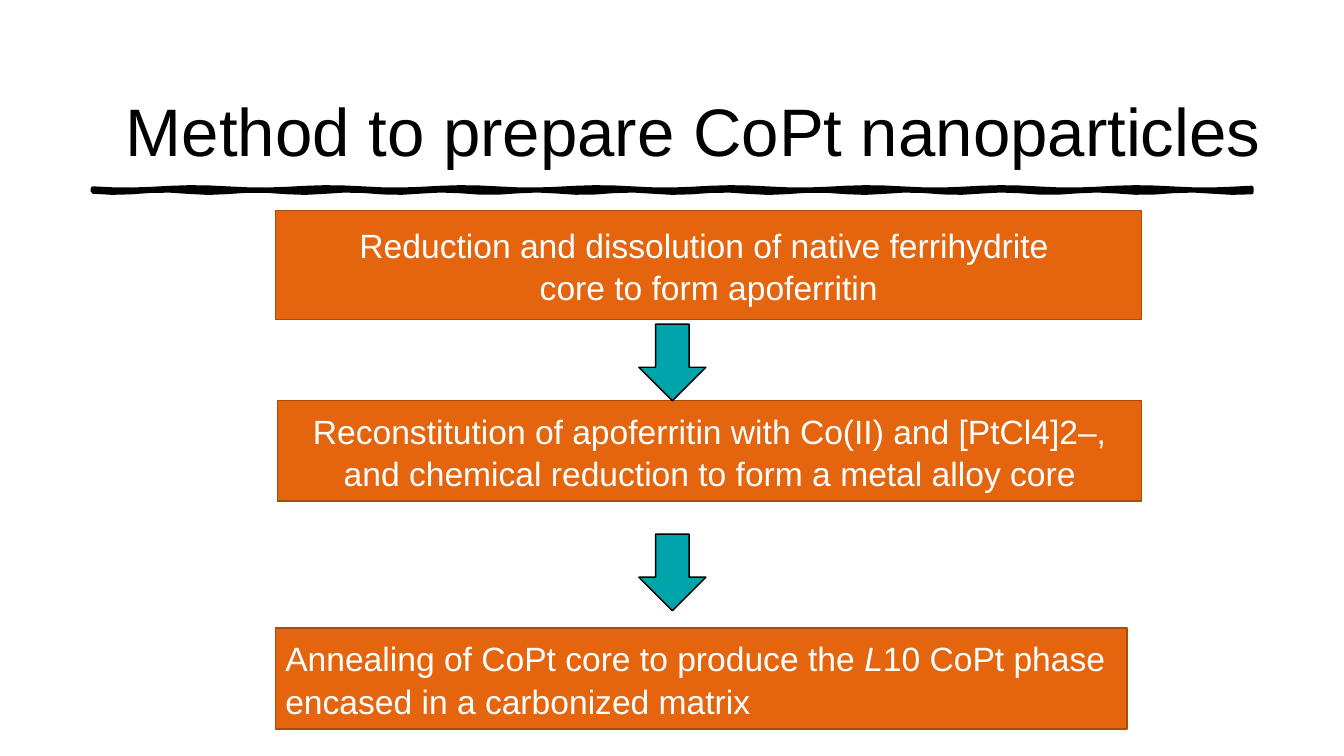
from dataclasses import dataclass
from math import sin

from pptx import Presentation
from pptx.dml.color import RGBColor
from pptx.enum.shapes import MSO_SHAPE
from pptx.enum.text import MSO_ANCHOR, MSO_AUTO_SIZE, PP_ALIGN
from pptx.util import Cm, Pt

RECTANGLE = MSO_SHAPE.RECTANGLE
DOWN_ARROW = MSO_SHAPE.DOWN_ARROW
MIDDLE = MSO_ANCHOR.MIDDLE
NO_AUTOFIT = MSO_AUTO_SIZE.NONE
LEFT, CENTER = PP_ALIGN.LEFT, PP_ALIGN.CENTER
TITLE_ONLY = 5


@dataclass(frozen=True)
class Theme:
    font: str = "Arial"
    ink: str = "000000"
    step_fill: str = "E4650E"
    step_line: str = "A94B0A"
    step_text: str = "FFFFFF"
    arrow_fill: str = "00A5AB"
    title_size: int = 48
    step_size: int = 24
    step_spacing: float = 1.05
    outline: int = 1
    brush: int = 3


def apply(target, values):
    for name, value in values.items():
        setattr(target, name, value)


class ProcessSlide:
    def __init__(self, deck, theme):
        self.theme = theme
        self.slide = deck.slides.add_slide(deck.slide_layouts[TITLE_ONLY])

    def paint(self, shape, fill, line, width):
        shape.shadow.inherit = False
        shape.fill.solid()
        shape.fill.fore_color.rgb = RGBColor.from_string(fill)
        shape.line.color.rgb = RGBColor.from_string(line)
        shape.line.width = Pt(width)

    def set_text(self, shape, paragraphs, size, color, align, spacing=1.0):
        """Fill a shape with paragraphs, each a list of (text, italic) runs."""
        frame = shape.text_frame
        apply(frame, {"word_wrap": True, "auto_size": NO_AUTOFIT,
                      "vertical_anchor": MIDDLE})
        for index, runs in enumerate(paragraphs):
            paragraph = frame.add_paragraph() if index else frame.paragraphs[0]
            apply(paragraph, {"alignment": align, "line_spacing": spacing})
            for text, italic in runs:
                run = paragraph.add_run()
                run.text = text
                apply(run.font, {"name": self.theme.font, "size": Pt(size),
                                 "italic": italic})
                run.font.color.rgb = RGBColor.from_string(color)

    def title(self, text, left, top, width, height):
        heading = self.slide.shapes.title
        apply(heading, {"left": Cm(left), "top": Cm(top),
                        "width": Cm(width), "height": Cm(height)})
        self.set_text(heading, [[(text, False)]], self.theme.title_size,
                      self.theme.ink, LEFT)

    def brush_rule(self, left, top, width, thickness, segments=60):
        """Draw a slightly wavering, hand-brushed rule."""
        steps = range(segments + 1)
        upper = [(left + width * i / segments, top + 0.03 * sin(i * 0.9))
                 for i in steps]
        lower = [(left + width * i / segments,
                  top + thickness + 0.03 * sin(i * 1.3)) for i in steps]
        outline = [(Cm(x), Cm(y)) for x, y in upper + lower[::-1]]
        builder = self.slide.shapes.build_freeform(*outline[0])
        builder.add_line_segments(outline[1:], close=True)
        self.paint(builder.convert_to_shape(), self.theme.ink, self.theme.ink,
                   self.theme.brush)

    def step(self, paragraphs, left, top, width, height, align):
        box = self.slide.shapes.add_shape(
            RECTANGLE, Cm(left), Cm(top), Cm(width), Cm(height))
        self.paint(box, self.theme.step_fill, self.theme.step_line,
                   self.theme.outline)
        self.set_text(box, paragraphs, self.theme.step_size,
                      self.theme.step_text, align, self.theme.step_spacing)

    def arrow(self, left, top, width, height):
        arrow = self.slide.shapes.add_shape(
            DOWN_ARROW, Cm(left), Cm(top), Cm(width), Cm(height))
        self.paint(arrow, self.theme.arrow_fill, self.theme.ink,
                   self.theme.outline)


STEPS = [
    ([[("Reduction and dissolution of native ferrihydrite ", False)],
      [("core to form apoferritin", False)]],
     6.95, 5.31, 21.82, 2.74, CENTER),
    ([[("Reconstitution of apoferritin with Co(II) and [PtCl4]2–, and "
        "chemical reduction to form a metal alloy core", False)]],
     7.0, 10.09, 21.77, 2.54, CENTER),
    ([[("Annealing of CoPt core to produce the ", False), ("L", True),
       ("10 CoPt phase encased in a carbonized matrix", False)]],
     6.94, 15.83, 21.46, 2.54, LEFT),
]
ARROW_TOPS = [8.17, 13.46]


def main():
    deck = Presentation()
    apply(deck, {"slide_width": Cm(33.87), "slide_height": Cm(19.05)})
    page = ProcessSlide(deck, Theme())
    page.brush_rule(2.34, 4.75, 29.2, 0.08)
    page.title("Method to prepare CoPt nanoparticles", 2.92, 1.42, 29.21, 3.68)
    for step in STEPS:
        page.step(*step)
    for top in ARROW_TOPS:
        page.arrow(16.1, top, 1.69, 1.93)
    deck.save("out.pptx")


if __name__ == "__main__":
    main()
